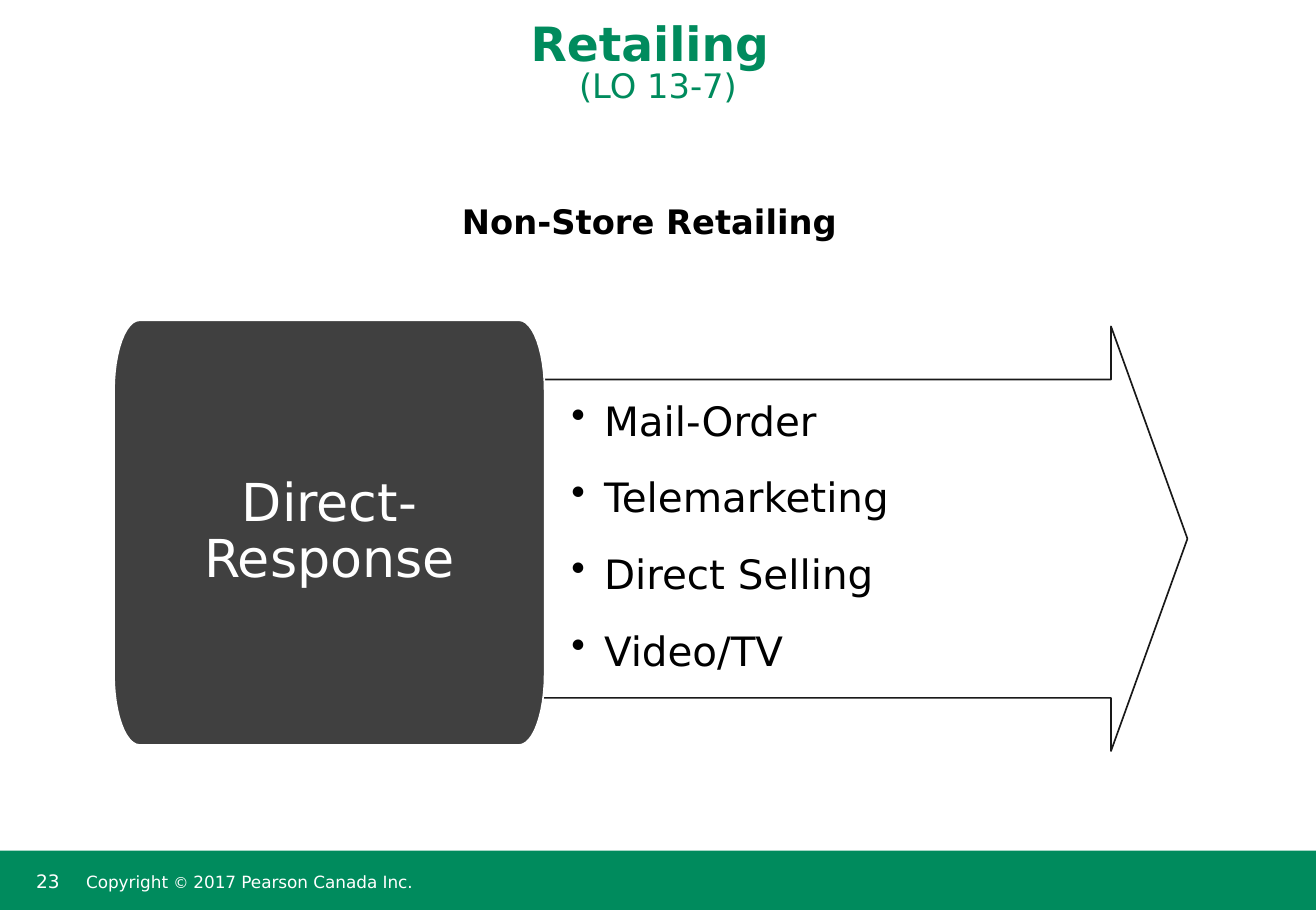
import collections
import math

import lxml.etree
import pptx
import pptx.dml.color
import pptx.enum.shapes
import pptx.enum.text
import pptx.oxml.ns
import pptx.util

FONT = "DejaVu Sans"
COLORS = {"green": "008B5D", "charcoal": "404040", "white": "FFFFFF", "black": "000000"}
CELL = pptx.util.Inches(0.05)
COLUMNS, ROWS = 217, 150
DIRECT_RESPONSE_KINDS = ["Mail-Order", "Telemarketing", "Direct Selling", "Video/TV"]
ALIGN = pptx.enum.text.PP_ALIGN
ANCHOR = pptx.enum.text.MSO_ANCHOR
PRESET = pptx.enum.shapes.MSO_SHAPE


class Box(collections.namedtuple("Box", "left top width height")):
    def inside(self, left, top, width, height):
        return Box(self.left + left, self.top + top, width, height)

    def lengths(self):
        return [round(cells * CELL) for cells in self]


def rgb(name):
    return pptx.dml.color.RGBColor.from_string(COLORS[name])


def paint(shape, fill, line=None):
    shape.shadow.inherit = False
    shape.fill.solid()
    shape.fill.fore_color.rgb = rgb(fill)
    if line:
        shape.line.color.rgb = rgb(line)
        shape.line.width = pptx.util.Pt(1)
    else:
        shape.line.fill.background()


def soften(shape, percent):
    tag = pptx.oxml.ns.qn("a:alpha")
    for color in shape._element.spPr.iter(pptx.oxml.ns.qn("a:srgbClr")):
        lxml.etree.SubElement(color, tag).set("val", str(percent * 1000))


def frame_text(shape, anchor=ANCHOR.TOP, insets=(0.1, 0.05, 0.1, 0.05)):
    frame = shape.text_frame
    frame.word_wrap = True
    frame.vertical_anchor = anchor
    frame.margin_left, frame.margin_top, frame.margin_right, frame.margin_bottom = [
        pptx.util.Inches(inset) for inset in insets]
    return frame


def add_text_box(slide, box, anchor=ANCHOR.TOP, insets=(0.1, 0.05, 0.1, 0.05)):
    return frame_text(slide.shapes.add_textbox(*box.lengths()), anchor, insets)


def format_paragraph(paragraph, align=ALIGN.LEFT, spacing=0.85, after=0):
    paragraph.alignment = align
    paragraph.line_spacing = spacing
    paragraph.space_after = pptx.util.Pt(after)


def add_run(paragraph, text, size, color, bold=False):
    run = paragraph.add_run()
    run.text = text
    run.font.name = FONT
    run.font.size = pptx.util.Pt(size)
    run.font.bold = bold
    run.font.color.rgb = rgb(color)


def add_bullet(paragraph):
    properties = paragraph._p.get_or_add_pPr()
    properties.set("marL", str(pptx.util.Inches(0.5)))
    properties.set("indent", str(pptx.util.Inches(-0.27)))
    lxml.etree.SubElement(properties, pptx.oxml.ns.qn("a:buChar")).set("char", "•")


def add_footer(slide, box):
    band = slide.shapes.add_shape(PRESET.RECTANGLE, *box.lengths())
    paint(band, "green")
    page_number = add_text_box(slide, box.inside(4, 2.2, 9.4, 6.4)).paragraphs[0]
    add_run(page_number, "23", 11, "white")
    copyright_line = add_text_box(slide, box.inside(13.2, 0, 115.6, box.height),
                                  ANCHOR.MIDDLE, (0.05, 0.1, 0.05, 0.05)).paragraphs[0]
    format_paragraph(copyright_line)
    for text, size in [("Copyright ", 10), ("© ", 9), ("2017 Pearson Canada Inc.", 10)]:
        add_run(copyright_line, text, size, "white")


def add_title(slide, box):
    title = add_text_box(slide, box, ANCHOR.BOTTOM).paragraphs[0]
    format_paragraph(title, ALIGN.CENTER, after=6.5)
    add_run(title, "Retailing ", 28, "green", bold=True)
    title.add_line_break()
    add_run(title, "(LO 13-7)", 20, "green")


def add_subtitle(slide, box):
    subtitle = add_text_box(slide, box).paragraphs[0]
    format_paragraph(subtitle, ALIGN.CENTER, after=6.5)
    add_run(subtitle, "Non-Store Retailing", 20, "black", bold=True)


def add_kinds_arrow(slide, box):
    arrow = slide.shapes.add_shape(PRESET.RIGHT_ARROW, *box.lengths())
    arrow.adjustments[0] = 0.75
    arrow.adjustments[1] = 0.18
    paint(arrow, "white", "black")
    soften(arrow, 90)
    frame = frame_text(arrow, ANCHOR.MIDDLE, (0.01, 0.16, 0.45, 0.16))
    for index, kind in enumerate(DIRECT_RESPONSE_KINDS):
        paragraph = frame.add_paragraph() if index else frame.paragraphs[0]
        format_paragraph(paragraph, after=6.5)
        if index:
            paragraph.space_before = pptx.util.Pt(14.5)
        add_bullet(paragraph)
        add_run(paragraph, kind, 24, "black")


def add_category_card(slide, box):
    corner_width, corner_height, steps = 4.2, 11.6, 12
    outline = []
    for quarter, (across, down) in enumerate([(1, 1), (0, 1), (0, 0), (1, 0)]):
        center_x = box.left + corner_width + across * (box.width - 2 * corner_width)
        center_y = box.top + corner_height + down * (box.height - 2 * corner_height)
        for step in range(steps + 1):
            angle = (quarter + step / steps) * math.pi / 2
            outline.append((round((center_x + corner_width * math.cos(angle)) * CELL),
                            round((center_y + corner_height * math.sin(angle)) * CELL)))
    builder = slide.shapes.build_freeform(*outline[0])
    builder.add_line_segments(outline[1:], close=True)
    card = builder.convert_to_shape()
    paint(card, "charcoal", "white")
    category = frame_text(card, ANCHOR.MIDDLE, (0.19, 0.12, 0.19, 0.12)).paragraphs[0]
    format_paragraph(category, ALIGN.CENTER, spacing=0.9, after=13.5)
    add_run(category, "Direct-Response", 31, "white")


def add_diagram(slide, box):
    add_kinds_arrow(slide, box.inside(70.6, 1, 106.4, 70))
    add_category_card(slide, box.inside(0, 0, 71, 70))


def main():
    presentation = pptx.Presentation()
    presentation.slide_width = COLUMNS * CELL
    presentation.slide_height = ROWS * CELL
    slide = presentation.slides.add_slide(presentation.slide_layouts[6])
    page = Box(0, 0, COLUMNS, ROWS)
    add_footer(slide, page.inside(0, 140.2, COLUMNS, 9.8))
    add_title(slide, page.inside(0, 0, COLUMNS, 18.4))
    add_subtitle(slide, page.inside(7.6, 33.2, 199, 13.4))
    add_diagram(slide, page.inside(18.8, 52.8, 177, 71))
    presentation.save("out.pptx")


if __name__ == "__main__":
    main()
